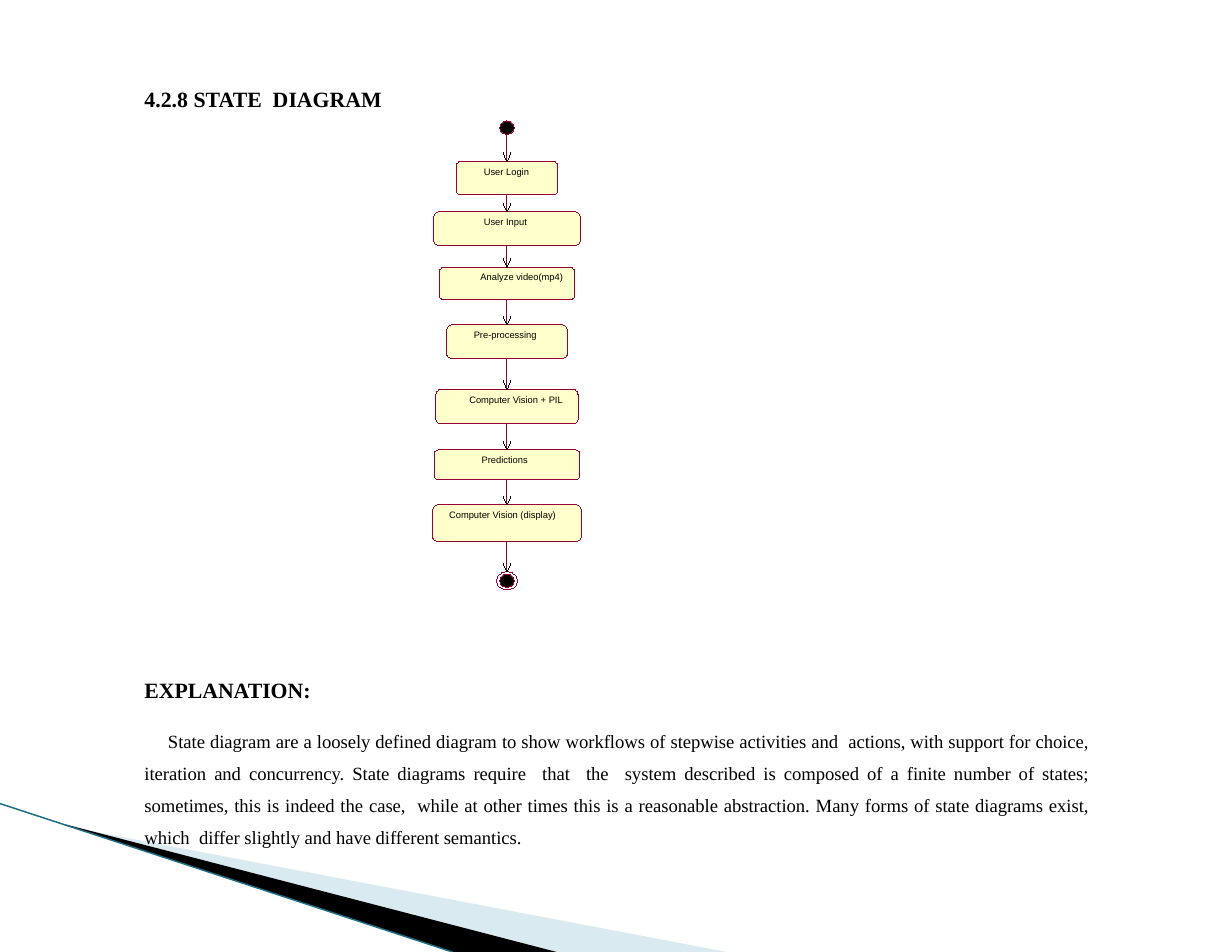
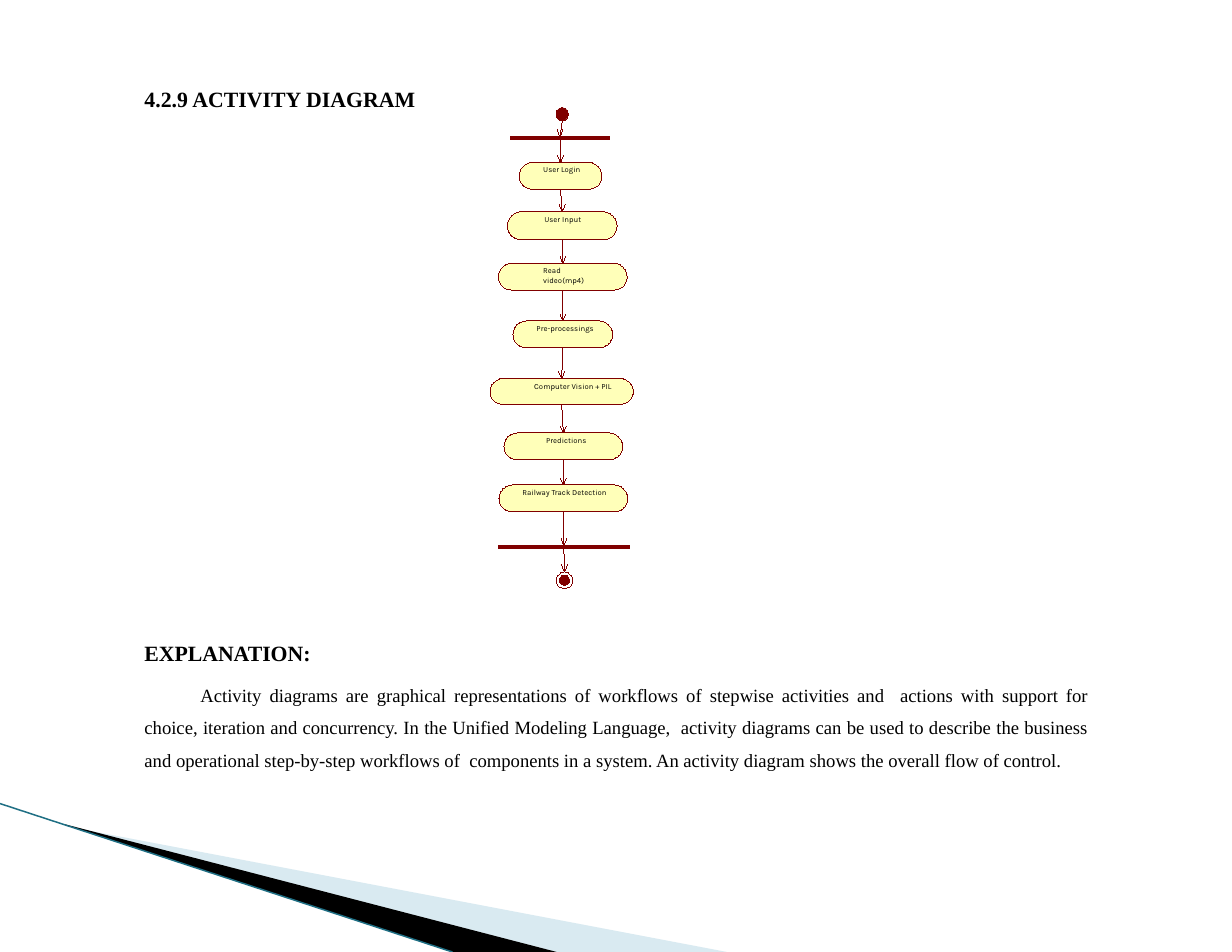
from dataclasses import dataclass
from itertools import pairwise

from lxml import etree
from pptx import Presentation
from pptx.dml.color import RGBColor
from pptx.enum.shapes import MSO_CONNECTOR, MSO_SHAPE
from pptx.enum.text import PP_ALIGN
from pptx.oxml.ns import qn
from pptx.util import Inches, Pt

DOT = MSO_SHAPE.OVAL
BAR = MSO_SHAPE.RECTANGLE
STATE = MSO_SHAPE.ROUNDED_RECTANGLE
STRAIGHT = MSO_CONNECTOR.STRAIGHT
JUSTIFY = PP_ALIGN.JUSTIFY
TOP, BOTTOM = 0, 2

SLIDE_W, SLIDE_H = Inches(11), Inches(8.5)
COLS, ROWS = 110, 85
BLACK, WHITE = "000000", "FFFFFF"
PALE_BLUE, TEAL = "A0CBDC", "1F6F84"
SERIF = "Times New Roman"
HAIRLINE = 0.01
TEXT_LEFT, TEXT_WIDTH = 12.9, 84.4
TITLE_TOP = 7.6


@dataclass(frozen=True)
class Node:
    kind: int
    center: float
    top: float
    width: float
    height: float
    label: str = ""
    label_left: float = 0
    label_width: float = 12.5


@dataclass(frozen=True)
class Style:
    fill: str
    line: str
    dot: str
    ring: str | None
    head: str
    head_half: float
    head_height: float
    corner: float
    font: str
    size: float
    label_drop: float


@dataclass(frozen=True)
class Page:
    title: str
    style: Style
    nodes: list[Node]
    core: Node
    text_top: float
    text_height: float
    indent: float
    space: float
    tracking: int
    body: str


STATE_STYLE = Style("FFFFCC", "990033", BLACK, None, BLACK, 0.35, 0.75, 0.15,
                    "Arial", 6, 0.4)
ACTIVITY_STYLE = Style("FFFFB9", "800000", "800000", WHITE, "800000", 0.25, 0.6, 0.5,
                       "Karla", 5, 0.25)
AXIS = 45.27

PAGES = [
    Page(
        "4.2.8 STATE  DIAGRAM", STATE_STYLE,
        [
            Node(DOT, AXIS, 10.8, 1.3, 1.2),
            Node(STATE, AXIS, 14.4, 9.1, 3, "User Login", 43.2),
            Node(STATE, AXIS, 18.9, 13.1, 3, "User Input", 43.2),
            Node(STATE, AXIS, 23.85, 12.1, 2.9, "Analyze video(mp4)", 42.9),
            Node(STATE, AXIS, 29, 10.8, 3, "Pre-processing", 42.3),
            Node(STATE, AXIS, 34.75, 12.7, 3.1, "Computer Vision + PIL", 41.9),
            Node(STATE, AXIS, 40.15, 13, 2.7, "Predictions", 43),
            Node(STATE, AXIS, 45.05, 13.3, 3.3, "Computer Vision (display)", 40.1),
            Node(DOT, AXIS, 51.05, 1.9, 1.6),
        ],
        Node(DOT, AXIS, 51.25, 1.3, 1.2),
        60.3, 15.7, 0.21, 11, -3,
        "State diagram are a loosely defined diagram to show workflows of stepwise "
        "activities and  actions, with support for choice, iteration and concurrency. "
        "State diagrams require  that  the  system described is composed of a finite "
        "number of states; sometimes, this is indeed the case,  while at other times "
        "this is a reasonable abstraction. Many forms of state diagrams exist, "
        "which  differ slightly and have different semantics.",
    ),
    Page(
        "4.2.9 ACTIVITY DIAGRAM", ACTIVITY_STYLE,
        [
            Node(DOT, 50.2, 9.6, 1.1, 1.2),
            Node(BAR, 50, 12.2, 8.9, 0.3),
            Node(STATE, 50.05, 14.5, 7.4, 2.4, "User Login", 48.5),
            Node(STATE, 50.2, 18.9, 9.8, 2.5, "User Input", 48.6),
            Node(STATE, 50.25, 23.5, 11.5, 2.4, "Read video(mp4)", 48.5, 5),
            Node(STATE, 50.25, 28.65, 8.9, 2.4, "Pre-processings", 47.9),
            Node(STATE, 50.15, 33.8, 12.8, 2.3, "Computer Vision + PIL", 47.7),
            Node(STATE, 50.3, 38.65, 10.6, 2.4, "Predictions", 48.75),
            Node(STATE, 50.3, 43.3, 11.5, 2.4, "Railway Track Detection", 46.65),
            Node(BAR, 50.35, 48.7, 11.7, 0.3),
            Node(DOT, 50.4, 51.05, 1.5, 1.5),
        ],
        Node(DOT, 50.4, 51.35, 0.9, 0.9),
        57, 11.9, 0.5, 5.4, 0,
        "Activity diagrams are graphical representations of workflows of stepwise "
        "activities and  actions with support for choice, iteration and concurrency. "
        "In the Unified Modeling Language,  activity diagrams can be used to describe "
        "the business and operational step-by-step workflows of  components in a "
        "system. An activity diagram shows the overall flow of control.",
    ),
]


def col(n: float) -> int:
    return round(SLIDE_W * n / COLS)


def row(n: float) -> int:
    return round(SLIDE_H * n / ROWS)


def rgb(value: str) -> RGBColor:
    return RGBColor.from_string(value)


def paint(sp, fill: str | None, line: str | None) -> None:
    sp.shadow.inherit = False
    if fill:
        sp.fill.solid()
        sp.fill.fore_color.rgb = rgb(fill)
    else:
        sp.fill.background()
    if line:
        sp.line.color.rgb = rgb(line)
        sp.line.width = Pt(HAIRLINE)
    else:
        sp.line.fill.background()


def add_outline(s, points: list[tuple[float, float]], fill: str | None = None,
                line: str | None = None):
    start, *rest = [(col(x), row(y)) for x, y in points]
    builder = s.shapes.build_freeform(*start)
    builder.add_line_segments(rest, close=fill is not None)
    sp = builder.convert_to_shape()
    paint(sp, fill, line)
    return sp


def add_line(s, start: tuple[float, float], end: tuple[float, float],
             color: str, width: float):
    cx = s.shapes.add_connector(STRAIGHT, col(start[0]), row(start[1]),
                                col(end[0]), row(end[1]))
    cx.line.color.rgb = rgb(color)
    cx.line.width = Pt(width)
    etree.SubElement(cx._element.spPr, qn("a:effectLst"))
    return cx


def add_text_box(s, left: float, top: float, width: float, height: float):
    tf = s.shapes.add_textbox(col(left), row(top), col(width), row(height)).text_frame
    tf.word_wrap = True
    tf.margin_left = tf.margin_right = tf.margin_top = tf.margin_bottom = 0
    return tf


def add_run(p, text: str, font: str, size: float, bold: bool = False):
    r = p.add_run()
    r.text = text
    r.font.name = font
    r.font.size = Pt(size)
    r.font.bold = bold
    r.font.color.rgb = rgb(BLACK)
    return r


def add_prose(p, text: str, size: float, bold: bool, tracking: int) -> None:
    r = add_run(p, text, SERIF, size, bold)
    r.font._element.set("spc", str(tracking))


def add_wedges(s) -> None:
    pale = add_outline(s, [(6, 73.8), (64.9, 85), (49.7, 85), (6, 73.7)], PALE_BLUE)
    tint = pale._element.spPr.find(".//" + qn("a:srgbClr"))
    etree.SubElement(tint, qn("a:alpha"), val="40000")
    add_outline(s, [(5.8, 73.6), (49.7, 85), (40.4, 85), (5.9, 73.7)], BLACK)
    add_line(s, (0, 71.75), (40.4, 85), TEAL, 0.95)


def add_node(s, node: Node, style: Style, fill: str | None):
    sp = s.shapes.add_shape(node.kind, col(node.center - node.width / 2), row(node.top),
                            col(node.width), row(node.height))
    paint(sp, fill, style.line)
    if node.kind == STATE:
        sp.adjustments[0] = style.corner
    if node.label:
        tf = add_text_box(s, node.label_left, node.top + style.label_drop,
                          node.label_width, 1.2)
        add_run(tf.paragraphs[0], node.label, style.font, style.size)
    return sp


def add_arrow(s, source: Node, target: Node, source_sp, target_sp, style: Style) -> None:
    x, y = target.center, target.top
    cx = add_line(s, (source.center, source.top + source.height), (x, y),
                  style.line, HAIRLINE)
    if source.kind != DOT:
        cx.begin_connect(source_sp, BOTTOM)
    cx.end_connect(target_sp, TOP)
    wing = y - style.head_height
    add_outline(s, [(x - style.head_half, wing), (x, y), (x + style.head_half, wing)],
                line=style.head)


def add_diagram(s, page: Page) -> None:
    style = page.style
    fills = {STATE: style.fill, BAR: style.line, DOT: style.dot}
    drawn = []
    for node in page.nodes:
        fill = style.ring if node is page.nodes[-1] else fills[node.kind]
        drawn.append((node, add_node(s, node, style, fill)))
    add_node(s, page.core, style, style.dot)
    for (source, source_sp), (target, target_sp) in pairwise(drawn):
        add_arrow(s, source, target, source_sp, target_sp, style)


def add_explanation(s, page: Page) -> None:
    tf = add_text_box(s, TEXT_LEFT, page.text_top, TEXT_WIDTH, page.text_height)
    tf.margin_top = Inches(0.01)
    add_prose(tf.paragraphs[0], "EXPLANATION:", 14, True, -5)
    p = tf.add_paragraph()
    p.alignment = JUSTIFY
    p.line_spacing = 1.44
    p.space_before = Pt(page.space)
    p._p.get_or_add_pPr().set("indent", str(Inches(page.indent)))
    add_prose(p, page.body, 12, False, page.tracking)


def add_page(prs, page: Page) -> None:
    s = prs.slides.add_slide(prs.slide_layouts[6])
    add_wedges(s)
    tf = add_text_box(s, TEXT_LEFT, TITLE_TOP, 31.8, 2.5)
    tf.margin_top = Inches(0.01)
    add_prose(tf.paragraphs[0], page.title, 14, True, 0)
    add_explanation(s, page)
    add_diagram(s, page)


def main() -> None:
    prs = Presentation()
    prs.slide_width, prs.slide_height = SLIDE_W, SLIDE_H
    for page in PAGES:
        add_page(prs, page)
    prs.save("out.pptx")


if __name__ == "__main__":
    main()
